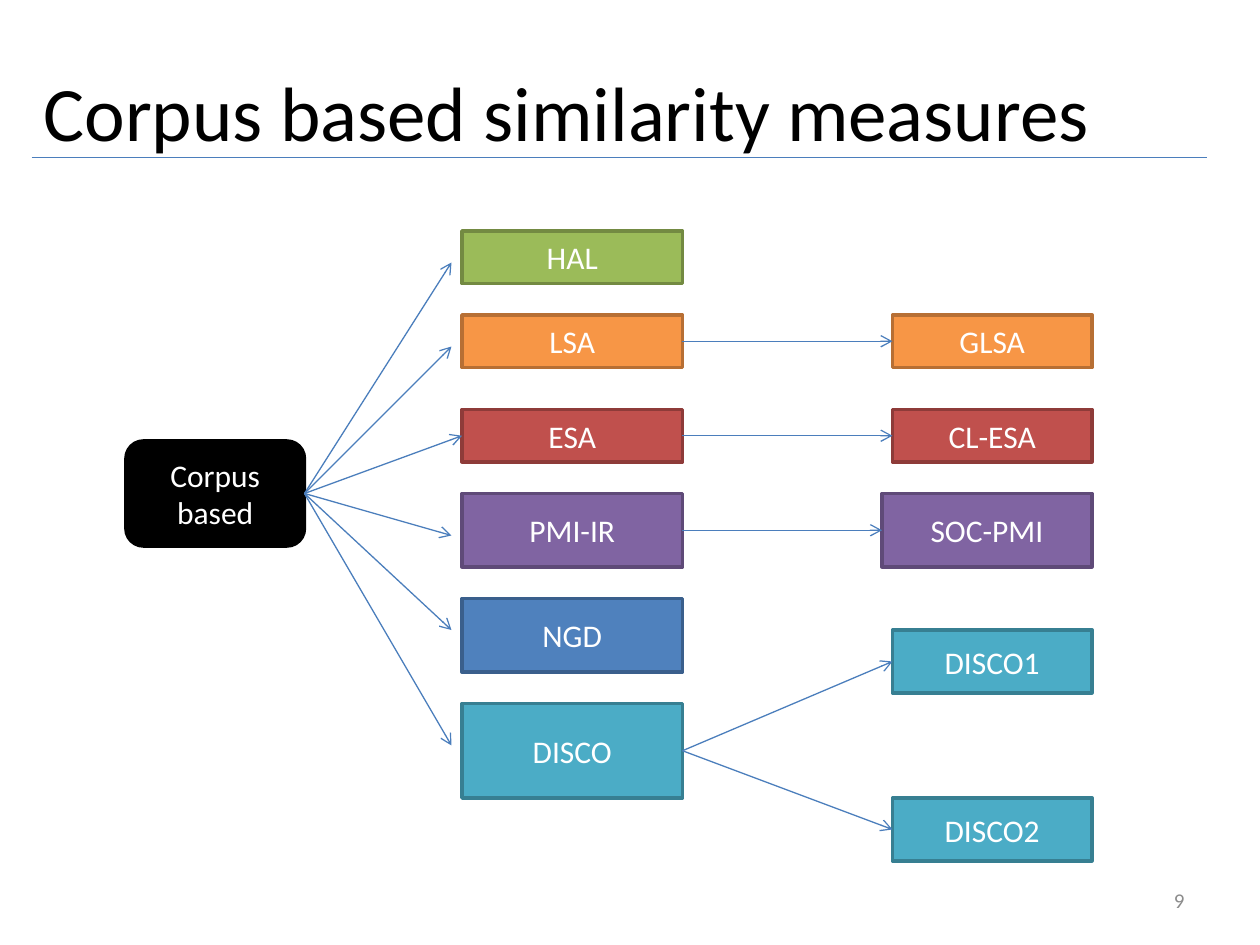
from dataclasses import dataclass

from lxml.etree import SubElement
from pptx import Presentation
from pptx.dml.color import RGBColor
from pptx.enum.shapes import MSO_CONNECTOR as Connector, MSO_SHAPE as Shape
from pptx.enum.text import MSO_ANCHOR as Anchor, PP_ALIGN as Align
from pptx.oxml.ns import qn
from pptx.util import Pt

EMU_PER_PX = 9525
LEFT_SITE, RIGHT_SITE = 1, 3


@dataclass(frozen=True)
class Theme:
    font: str = "Calibri"
    title_size: int = 44
    node_size: int = 18
    number_size: int = 12
    ink: str = "000000"
    paper: str = "FFFFFF"
    muted: str = "8C8C8C"
    connector: str = "4B7EBC"
    connector_width: float = 0.75
    border_width: int = 2
    # Fill and border of each kind of node
    black: tuple = ("000000", "000000")
    green: tuple = ("9BBB59", "738A42")
    orange: tuple = ("F79646", "B76F34")
    red: tuple = ("C0504D", "8E3B39")
    purple: tuple = ("8064A2", "5F4A78")
    blue: tuple = ("4F81BD", "3A5F8C")
    aqua: tuple = ("4BACC6", "377F92")


THEME = Theme()

# Name, colours, top, height, arrow tip below the node's top (None: joined
# to the node), and variants as (name, top, width, height)
BRANCHES = [
    ("HAL", THEME.green, 0, 40, 24, []),
    ("LSA", THEME.orange, 64, 40, 24, [("GLSA", 64, 152, 40)]),
    ("ESA", THEME.red, 136, 40, None, [("CL-ESA", 136, 152, 40)]),
    ("PMI-IR", THEME.purple, 200, 56, 32, [("SOC-PMI", 200, 160, 56)]),
    ("NGD", THEME.blue, 280, 56, 24, []),
    ("DISCO", THEME.aqua, 360, 72, 32,
     [("DISCO1", 304, 152, 48), ("DISCO2", 432, 152, 48)]),
]


def px(*lengths):
    return [length * EMU_PER_PX for length in lengths]


def write(shape, text, size, color, align):
    frame = shape.text_frame
    frame.word_wrap = True
    frame.vertical_anchor = Anchor.MIDDLE
    paragraph = frame.paragraphs[0]
    paragraph.alignment = align
    run = paragraph.add_run()
    run.text = text
    run.font.name = THEME.font
    run.font.size = Pt(size)
    run.font.color.rgb = RGBColor.from_string(color)


def add_node(slide, text, colors, box, outline=Shape.RECTANGLE):
    node = slide.shapes.add_shape(outline, *px(*box))
    node.shadow.inherit = False
    fill, border = colors
    node.fill.solid()
    node.fill.fore_color.rgb = RGBColor.from_string(fill)
    node.line.color.rgb = RGBColor.from_string(border)
    node.line.width = Pt(THEME.border_width)
    write(node, text, THEME.node_size, THEME.paper, Align.CENTER)
    return node


def add_line(slide, start, end):
    line = slide.shapes.add_connector(Connector.STRAIGHT, *px(*start, *end))
    line.line.color.rgb = RGBColor.from_string(THEME.connector)
    line.line.width = Pt(THEME.connector_width)
    SubElement(line._element.spPr, qn("a:effectLst"))
    return line


def add_arrow(slide, source, target=None, tip=(0, 0)):
    """Point from the source's right side to the target, or to a free tip."""
    arrow = add_line(slide, (0, 0), tip)
    arrow.begin_connect(source, RIGHT_SITE)
    if target is not None:
        arrow.end_connect(target, LEFT_SITE)
    SubElement(arrow.line._get_or_add_ln(), qn("a:tailEnd"), type="arrow")


def add_title(slide, text, box):
    left, top, width, height = box
    title = slide.shapes.title
    title.left, title.top, title.width, title.height = px(*box)
    write(title, text, THEME.title_size, THEME.ink, Align.CENTER)
    rule_y = top + height - 24
    add_line(slide, (left + 24, rule_y), (left + 920, rule_y))


def add_measure_tree(slide, box):
    left, top, width, height = box
    root = add_node(slide, "Corpus based", THEME.black,
                    (left, top + height // 3, 136, 80), Shape.ROUNDED_RECTANGLE)
    branch_left = left + 256
    for name, colors, y, node_height, tip_drop, variants in BRANCHES:
        branch = add_node(slide, name, colors,
                          (branch_left, top + y, 168, node_height))
        if tip_drop is None:
            add_arrow(slide, root, branch)
        else:
            add_arrow(slide, root, tip=(branch_left - 8, top + y + tip_drop))
        for variant_name, variant_y, variant_width, variant_height in variants:
            variant = add_node(slide, variant_name, colors,
                               (left + width - variant_width, top + variant_y,
                                variant_width, variant_height))
            add_arrow(slide, branch, variant)


def add_page_number(slide, number, box):
    text_box = slide.shapes.add_textbox(*px(*box))
    write(text_box, number, THEME.number_size, THEME.muted, Align.RIGHT)


def main():
    presentation = Presentation()
    presentation.slide_width, presentation.slide_height = px(960, 720)
    slide = presentation.slides.add_slide(
        presentation.slide_layouts.get_by_name("Title Only"))
    add_title(slide, "Corpus based similarity measures", (0, 24, 864, 120))
    add_measure_tree(slide, (96, 176, 736, 480))
    add_page_number(slide, "9", (688, 667, 224, 38))
    presentation.save("out.pptx")


if __name__ == "__main__":
    main()
